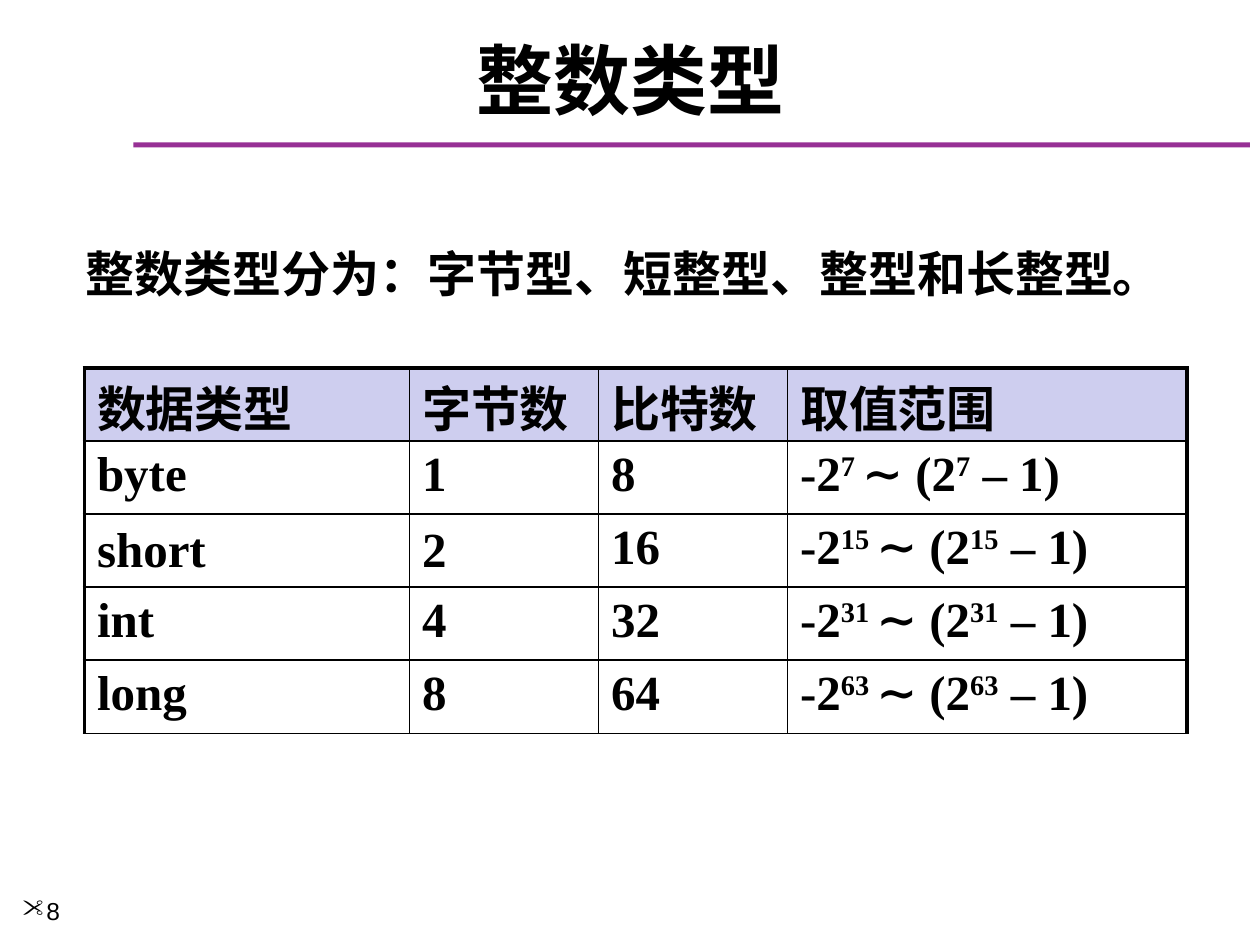
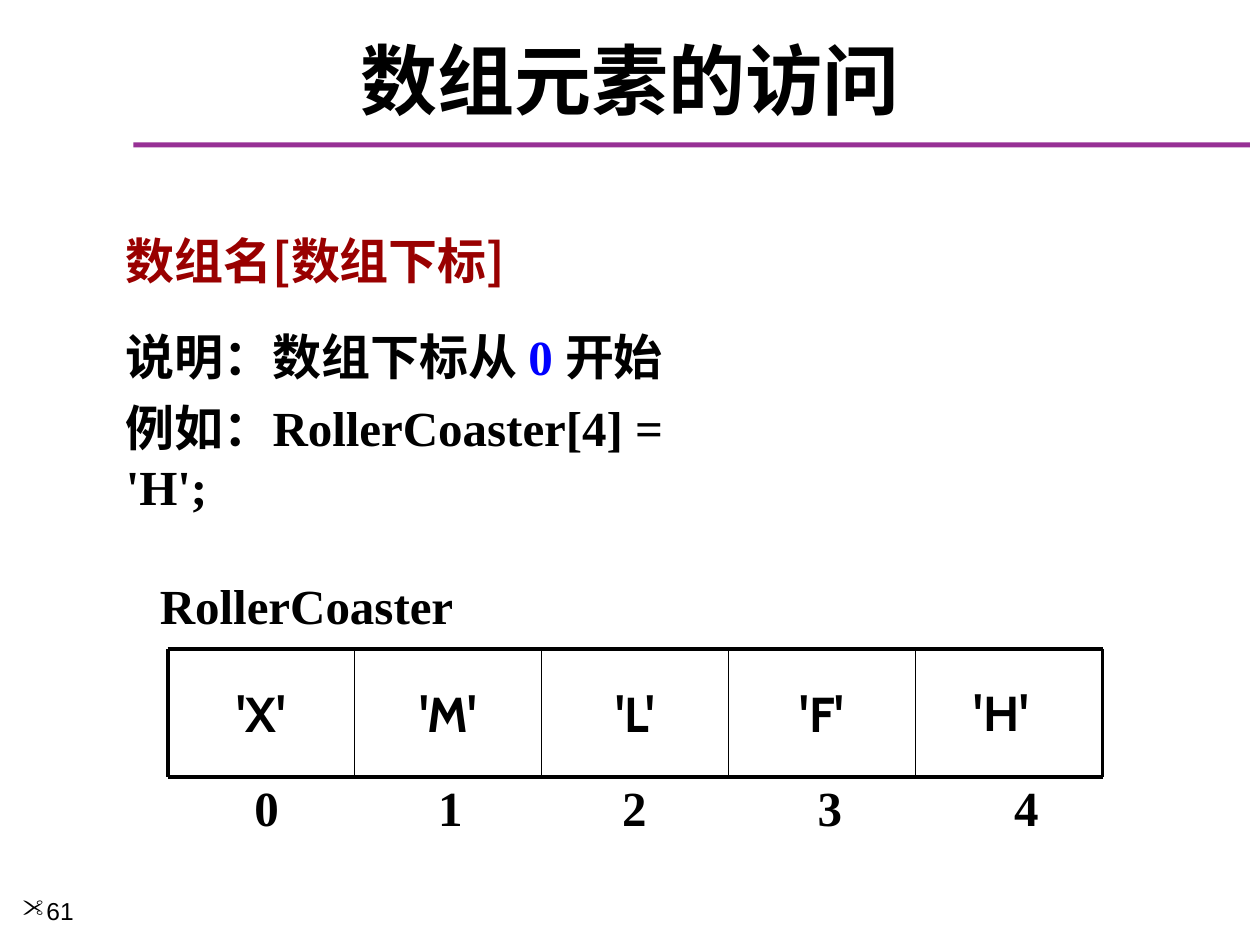
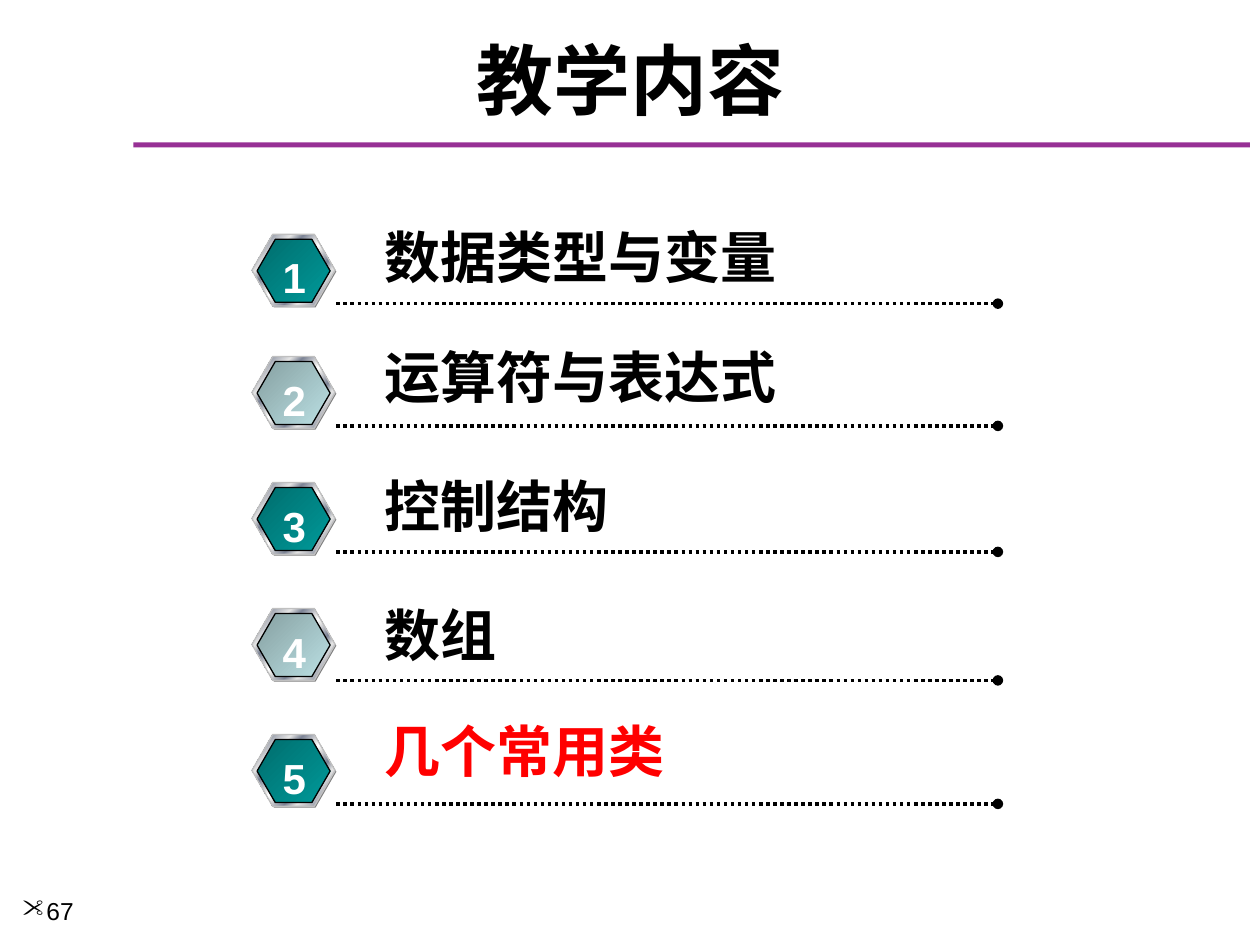
import pptx
import pptx.util
import pptx.dml.color
import pptx.enum.dml
import pptx.enum.shapes
import pptx.enum.text
import pptx.oxml
import pptx.oxml.ns
from lxml import etree

Inches, Pt = pptx.util.Inches, pptx.util.Pt
qn = pptx.oxml.ns.qn
SHAPE = pptx.enum.shapes.MSO_SHAPE
ALIGN = pptx.enum.text.PP_ALIGN
MIDDLE = pptx.enum.text.MSO_ANCHOR.MIDDLE

# Shared style
BLACK, WHITE, RULE = "000000", "FFFFFF", "973095"
HAN, SERIF, SANS, ROUND = "Noto Sans CJK SC", "Times New Roman", "Arial", "Cabin"

# Content: integer types
TYPES_LEAD = "整数类型分为：字节型、短整型、整型和长整型。"
HEADS = ["数据类型", "字节数", "比特数", "取值范围"]
TYPES = [("byte", 1), ("short", 2), ("int", 4), ("long", 8)]
COLS = [2.58, 1.5, 1.5, 3.17]
ROW = 0.58

# Content: array access; each run is (text, font, colour)
NOTES = [
    [("数组名[数组下标]", HAN, "990000")],
    [("说明：数组下标从 ", SANS, BLACK), ("0", SERIF, "0000FF"),
     (" 开始", SERIF, BLACK)],
    [("例如：RollerCoaster[4] = 'H';", SERIF, BLACK)],
]
ITEMS = ["'X'", "'M'", "'L'", "'F'", "'H'"]
STOPS = [1.46, 2.92, 4.47, 6.03]

# Content: topics as (text, colour, hexagon top, label top, line height)
TOPICS = [
    ("数据类型与变量", BLACK, 1.86, 1.77, 2.41),
    ("运算符与表达式", BLACK, 2.83, 2.72, 3.38),
    ("控制结构", BLACK, 3.83, 3.74, 4.38),
    ("数组", BLACK, 4.83, 4.77, 5.4),
    ("几个常用类", "FF0000", 5.83, 5.69, 6.38),
]
STEEL = [(0, "E6E6E6"), (8, "7D8496"), (26, "E6E6E6"), (34, "7D8496"),
         (46, "E6E6E6"), (50, "FFFFFF"), (54, "E6E6E6"), (66, "7D8496"),
         (74, "E6E6E6"), (92, "7D8496"), (100, "E6E6E6")]
TEAL = [(0, "006D6D"), (100, "009999")]
MIST = [(0, "86A0A2"), (100, "BBE0E3")]


def rgb(code):
    return pptx.dml.color.RGBColor.from_string(code)


def sub(node, tag, **attrs):
    return etree.SubElement(node, qn(tag), {k: str(v) for k, v in attrs.items()})


def style(run, size, font, color=BLACK, bold=True):
    run.font.size, run.font.name, run.font.bold = Pt(size), font, bold
    run.font.color.rgb = rgb(color)
    sub(run.font._element, "a:ea", typeface=HAN)


def add_runs(par, runs, size, bold=True):
    for text, font, color in runs:
        run = par.add_run()
        run.text = text
        style(run, size, font, color, bold)


def add_text(slide, box, pars, size, bold=True, align=ALIGN.LEFT,
             anchor=None, top=0.05):
    shape = slide.shapes.add_textbox(*map(Inches, box))
    frame = shape.text_frame
    frame.word_wrap = True
    frame.margin_top = Inches(top)
    if anchor is not None:
        frame.vertical_anchor = anchor
    for i, runs in enumerate(pars):
        par = frame.add_paragraph() if i else frame.paragraphs[0]
        par.alignment = align
        add_runs(par, runs, size, bold)
    return frame


def add_line(slide, start, end, width):
    line = slide.shapes.add_connector(
        pptx.enum.shapes.MSO_CONNECTOR.STRAIGHT,
        *map(Inches, (*start, *end)))
    line.line.color.rgb = rgb(BLACK)
    line.line.width = Pt(width)
    sub(line.element.spPr, "a:effectLst")
    return line


def add_shape(slide, kind, box, fill, edge=None):
    shape = slide.shapes.add_shape(kind, *map(Inches, box))
    shape.shadow.inherit = False
    if isinstance(fill, str):
        shape.fill.solid()
        shape.fill.fore_color.rgb = rgb(fill)
    else:
        shape.fill.gradient()
        shape.fill.gradient_angle = 315
        stops = shape.element.find(".//" + qn("a:gsLst"))
        for old in list(stops):
            stops.remove(old)
        for pos, code in fill:
            sub(sub(stops, "a:gs", pos=pos * 1000), "a:srgbClr", val=code)
    if edge:
        shape.line.color.rgb = rgb(edge)
        shape.line.width = Pt(0.75)
    else:
        shape.line.fill.background()
    return shape


def new_slide(prs, title, number):
    slide = prs.slides.add_slide(prs.slide_layouts[6])
    add_shape(slide, SHAPE.RECTANGLE, (1.06, 1.13, 8.86, 0.04), RULE)
    add_text(slide, (0.17, 0.25, 9.67, 0.75), [[(title, HAN, BLACK)]], 44,
             align=ALIGN.CENTER, anchor=MIDDLE)
    foot = add_text(slide, (0.08, 7.06, 1.08, 0.44),
                    [[(str(number), SANS, BLACK)]], 14, bold=False)
    # Scissors bullet before the page number
    props = foot.paragraphs[0]._p.get_or_add_pPr()
    props.set("marL", str(Inches(0.19)))
    props.set("indent", str(-Inches(0.19)))
    sub(props, "a:buFont", typeface="Wingdings")
    sub(props, "a:buChar", char='"')
    return slide


def set_borders(cell, widths):
    props = cell._tc.get_or_add_tcPr()
    for side, width in zip("LRTB", widths):
        edge = sub(props, "a:ln" + side, w=Pt(width))
        sub(sub(edge, "a:solidFill"), "a:srgbClr", val=BLACK)


def type_slide(prs):
    slide = new_slide(prs, "整数类型", 8)
    add_text(slide, (0.58, 1.93, 8.88, 0.57),
             [[(TYPES_LEAD, SERIF, BLACK)]], 28, top=0)
    rows = [HEADS] + [[name, str(size), str(size * 8), size * 8 - 1]
                      for name, size in TYPES]
    table = slide.shapes.add_table(
        len(rows), len(COLS), Inches(0.67), Inches(2.92),
        Inches(sum(COLS)), Inches(ROW * len(rows))).table
    for col, width in zip(table.columns, COLS):
        col.width = Inches(width)
    for r, row in enumerate(rows):
        table.rows[r].height = Inches(ROW)
        for c, value in enumerate(row):
            cell = table.cell(r, c)
            set_borders(cell, (1 if c else 2.25,
                               2.25 if c == len(COLS) - 1 else 1,
                               1 if r else 2.25, 1))
            cell.fill.solid()
            cell.fill.fore_color.rgb = rgb(WHITE if r else "CECEEF")
            if r == 0:
                cell.margin_top, cell.margin_bottom = Inches(0.02), 0
            if row[0] == "short" and c < 2:
                cell.vertical_anchor = MIDDLE
            par = cell.text_frame.paragraphs[0]
            font = SERIF if r else HAN
            if isinstance(value, int):
                parts = ["-2", f"{value} ", "∼ (2", str(value), " – 1)"]
            else:
                parts = [value]
            add_runs(par, [(part, font, BLACK) for part in parts], 28)
            for power in par.runs[1::2]:
                power.font._element.set("baseline", "30000")


def array_slide(prs):
    slide = new_slide(prs, "数组元素的访问", 61)
    left, top, step, high = 1.33, 5.15, 1.484, 1.02
    right, base = left + step * len(ITEMS), top + high
    # Array cells
    for i, item in enumerate(ITEMS):
        last = i == len(ITEMS) - 1
        box = (7.63, 5.37, 0.72, 0.57) if last else (left + i * step, top, step, high)
        add_text(slide, box, [[(item, ROUND, BLACK)]], 28,
                 align=ALIGN.LEFT if last else ALIGN.CENTER,
                 anchor=None if last else MIDDLE)
    for y in (top, base):
        add_line(slide, (left, y), (right, y), 2.25)
    for i in range(len(ITEMS) + 1):
        x = left + i * step
        add_line(slide, (x, top), (x, base), 2.25 if i in (0, len(ITEMS)) else 1)
    # Array name and indices
    add_text(slide, (1.17, 4.48, 2.55, 0.57),
             [[("RollerCoaster", SERIF, BLACK)]], 28, top=0.09)
    marks = "\t".join(str(i) for i in range(len(ITEMS)))
    index = add_text(slide, (1.92, 6.08, 6.5, 0.57),
                     [[(marks, SERIF, BLACK)]], 28, top=0.09)
    tabs = sub(index.paragraphs[0]._p.get_or_add_pPr(), "a:tabLst")
    for stop in STOPS:
        sub(tabs, "a:tab", pos=Inches(stop), algn="l")
    # Explanation
    notes = add_text(slide, (0.9, 1.83, 5.2, 2.22), NOTES, 28, top=0)
    notes.paragraphs[0].space_after = Pt(14)
    for par in notes.paragraphs[1:]:
        par.space_before = Pt(7)


def topic_slide(prs):
    slide = new_slide(prs, "教学内容", 67)
    for i, (text, color, top, label, y) in enumerate(TOPICS):
        line = add_line(slide, (2.67, y), (7.92, y), 2)
        line.line.dash_style = pptx.enum.dml.MSO_LINE.ROUND_DOT
        sub(line.line._get_or_add_ln(), "a:tailEnd", type="oval")
        add_text(slide, (2.95, label, 3.48, 0.64), [[(text, SANS, color)]],
                 32, top=0)
        # Hexagon badge: shade, steel rim, face
        for box, fill, edge in [
            ((2.01, top + 0.01, 0.66, 0.57), "808080", None),
            ((2, top, 0.66, 0.57), STEEL, "C0C0C0"),
            ((2.04, top + 0.04, 0.58, 0.5), MIST if i % 2 else TEAL, BLACK),
        ]:
            add_shape(slide, SHAPE.HEXAGON, box, fill, edge).adjustments[0] = 0.289
        add_text(slide, (2.14, top + 0.05, 0.39, 0.5),
                 [[(str(i + 1), SANS, WHITE)]], 24,
                 align=ALIGN.CENTER, top=0.09)


def main():
    prs = pptx.Presentation()
    prs.slide_width, prs.slide_height = Inches(10), Inches(7.5)
    type_slide(prs)
    array_slide(prs)
    topic_slide(prs)
    prs.save("out.pptx")


if __name__ == "__main__":
    main()
